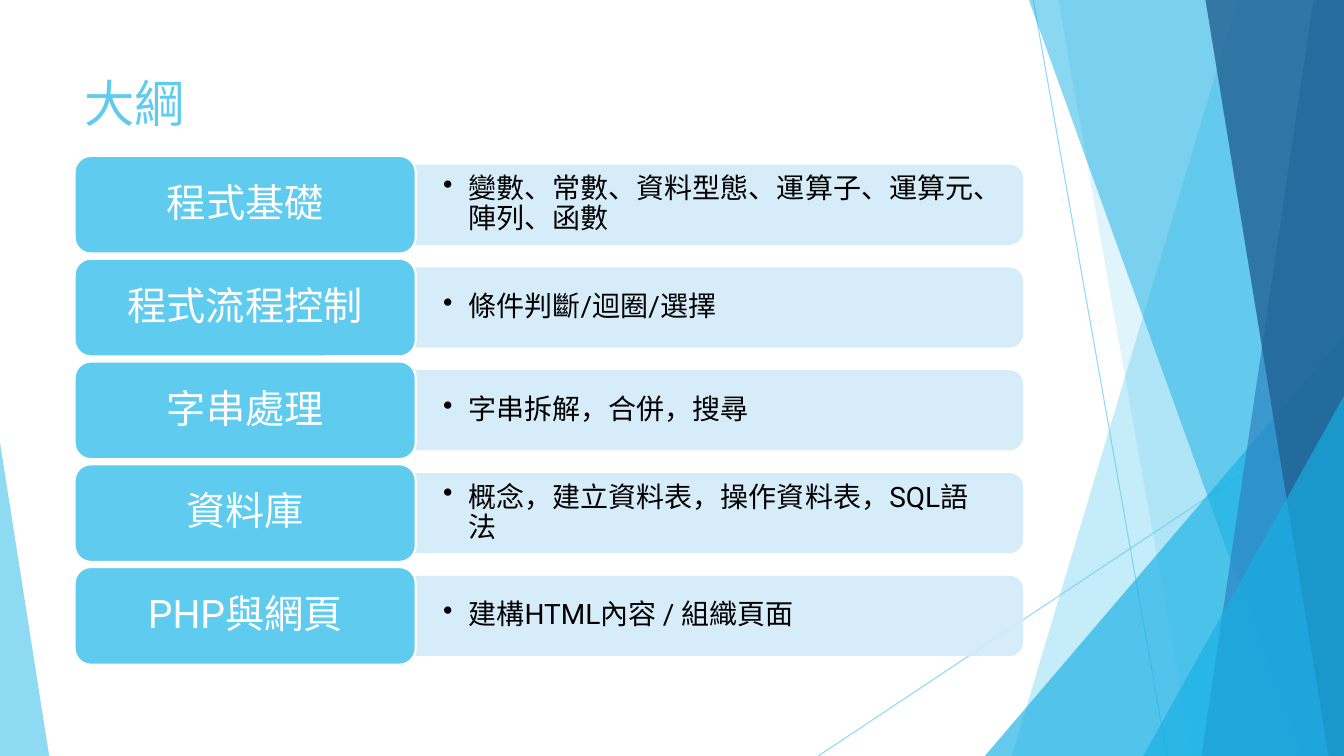
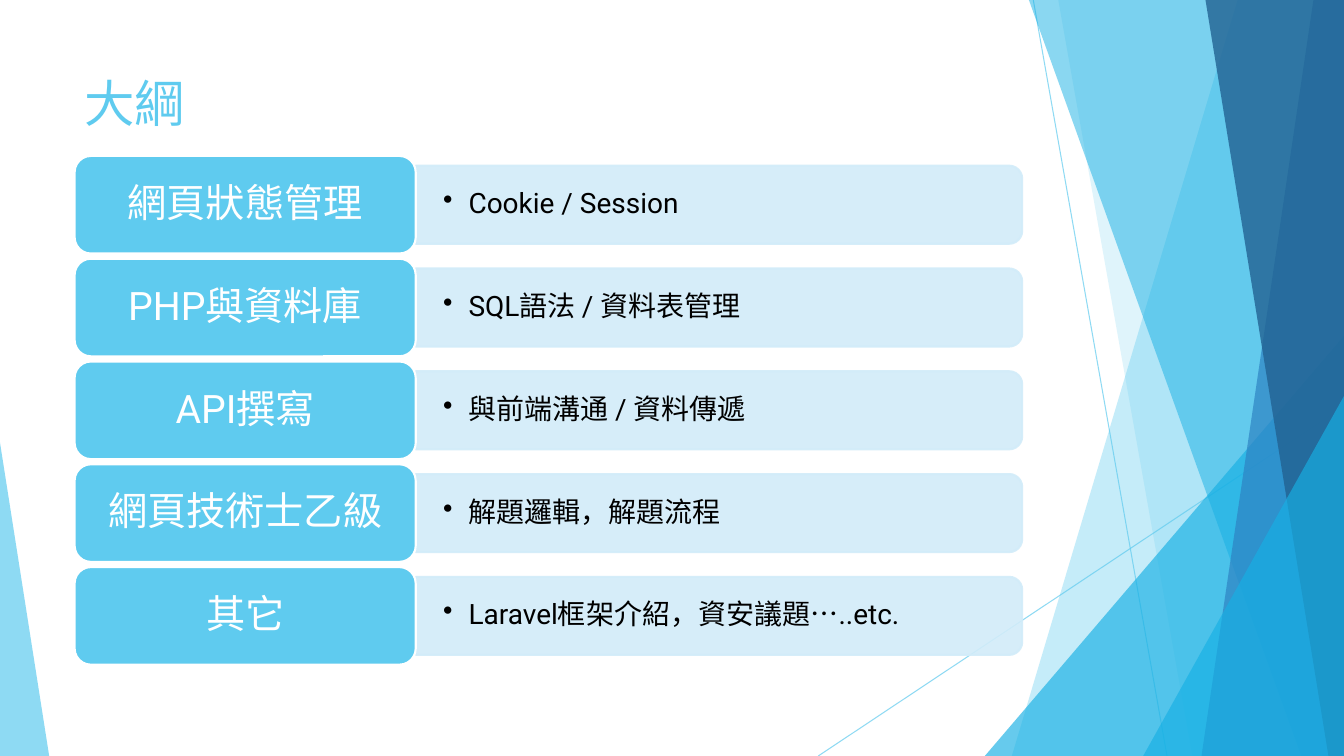
from lxml import etree
from pptx import Presentation
from pptx.dml.color import RGBColor
from pptx.enum.shapes import MSO_CONNECTOR, MSO_SHAPE
from pptx.enum.text import MSO_ANCHOR, PP_ALIGN
from pptx.oxml.ns import qn
from pptx.util import Cm, Pt

LINE = MSO_CONNECTOR.STRAIGHT
ROUND = MSO_SHAPE.ROUNDED_RECTANGLE
TAB = MSO_SHAPE.ROUND_2_SAME_RECTANGLE
WEDGE = MSO_SHAPE.ISOSCELES_TRIANGLE
MID, TOP = MSO_ANCHOR.MIDDLE, MSO_ANCHOR.TOP
LEFT, MIDDLE = PP_ALIGN.LEFT, PP_ALIGN.CENTER

HUES = {"sky": "5FCBEF", "cyan": "17B0E4", "blue": "2E83C3",
        "navy": "226292", "pale": "D2ECF9", "white": "FFFFFF",
        "black": "000000"}
FONT = "Roboto"
WIDE, HIGH = 33.87, 19.05
HEAD = (1.88, 1.7, 23.88, 2.24)
BODY = (1.88, 3.93, 23.88, 12.82)
GAP = 0.13

DECKS = [
    ("大綱", [
        ("程式基礎", "變數、常數、資料型態、運算子、運算元、陣列、函數"),
        ("程式流程控制", "條件判斷/迴圈/選擇"),
        ("字串處理", "字串拆解，合併，搜尋"),
        ("資料庫", "概念，建立資料表，操作資料表，SQL語法"),
        ("PHP與網頁", "建構HTML內容 / 組織頁面"),
    ]),
    ("大綱", [
        ("網頁狀態管理", "Cookie / Session"),
        ("PHP與資料庫", "SQL語法 / 資料表管理"),
        ("API撰寫", "與前端溝通 / 資料傳遞"),
        ("網頁技術士乙級", "解題邏輯，解題流程"),
        ("其它", "Laravel框架介紹，資安議題…..etc."),
    ]),
]


def paint(part, hue, alpha=100):
    """Set a solid colour and its opacity on a fill."""
    part.solid()
    part.fore_color.rgb = RGBColor.from_string(HUES[hue])


def fade(shape, alpha):
    """Give every colour of a shape the same opacity in percent."""
    for tone in shape.element.spPr.iter(qn("a:srgbClr")):
        etree.SubElement(tone, qn("a:alpha")).set("val", str(alpha * 1000))


def style(shape, hue, edge=None, alpha=100):
    """Fill and outline a shape without a shadow."""
    shape.shadow.inherit = False
    paint(shape.fill, hue)
    if edge:
        paint(shape.line.fill, edge)
        shape.line.width = Pt(1.5)
    else:
        shape.line.fill.background()
    if alpha < 100:
        fade(shape, alpha)


def write(shape, text, size, hue, pads, anchor=MID, align=LEFT, lead=1.0):
    """Write one paragraph inside a shape."""
    frame = shape.text_frame
    frame.word_wrap = True
    frame.vertical_anchor = anchor
    frame.margin_left = frame.margin_right = Cm(pads[0])
    frame.margin_top = frame.margin_bottom = Cm(pads[1])
    para = frame.paragraphs[0]
    para.text = text
    para.alignment = align
    para.line_spacing = lead
    para.font.name = FONT
    para.font.size = Pt(size)
    para.font.color.rgb = RGBColor.from_string(HUES[hue])
    return para


def dot(para, step):
    """Add a hanging bullet to a paragraph."""
    props = para._p.get_or_add_pPr()
    props.set("marL", str(Cm(step)))
    props.set("indent", str(-Cm(step)))
    etree.SubElement(props, qn("a:buChar")).set("char", "•")


def ray(slide, start, end):
    """Draw one thin line of the backdrop."""
    line = slide.shapes.add_connector(LINE, *map(Cm, start + end))
    paint(line.line.fill, "sky")
    line.line.width = Pt(0.75)
    fade(line, 70)
    etree.SubElement(line.element.spPr, qn("a:effectLst"))


def panel(slide, box, top, base, hue, alpha):
    """Draw a full-height panel from a slanted edge to the right of the box."""
    x, y, w, h = box
    spots = [(x + w, y), (x + w, y + h), (base, y + h)]
    pen = slide.shapes.build_freeform(Cm(top), Cm(y))
    pen.add_line_segments([(Cm(a), Cm(b)) for a, b in spots])
    style(pen.convert_to_shape(), hue, alpha=alpha)


def wedge(slide, box, peak, hue, alpha):
    """Draw a triangle whose peak stands at a share of its width."""
    shape = slide.shapes.add_shape(WEDGE, *map(Cm, box))
    shape.adjustments[0] = peak
    style(shape, hue, alpha=alpha)


def backdrop(slide, box):
    """Draw the shared facets along the edges of the box."""
    x, y, w, h = box
    right, foot = x + w, y + h
    ray(slide, (26.04, y), (29.41, foot))
    ray(slide, (right, 10.24), (20.62, foot))
    panel(slide, box, 31.19, 25.5, "sky", 36)
    panel(slide, box, 26.67, 30.05, "sky", 20)
    wedge(slide, (right - 9.05, foot - 10.59, 9.05, 10.59), 1, "cyan", 66)
    panel(slide, box, 25.93, 32.79, "cyan", 50)
    panel(slide, box, 33.1, 30.28, "blue", 70)
    panel(slide, box, 30.38, 33.48, "navy", 80)
    wedge(slide, (right - 5.06, foot - 9.07, 5.06, 9.07), 1, "cyan", 66)
    wedge(slide, (x, foot - 7.9, 1.24, 7.9), 0, "sky", 70)


def title(slide, box, text):
    """Place the slide title."""
    area = slide.shapes.add_textbox(*map(Cm, box))
    write(area, text, 36, "sky", (0.25, 0.13), TOP)


def row(slide, box, name, note):
    """Place a label and the bar with its bullet beside it."""
    x, y, w, h = box
    part = w * 0.36
    long, thick = w - part, h * 0.8
    left, mid = x + part, y + h / 2
    bar = slide.shapes.add_shape(
        TAB, Cm(left + (long - thick) / 2), Cm(mid - long / 2),
        Cm(thick), Cm(long))
    bar.rotation = 90
    style(bar, "pale", "pale", 90)
    area = slide.shapes.add_textbox(
        Cm(left), Cm(mid - 0.89), Cm(long - 0.1), Cm(1.78))
    dot(write(area, note, 20, "black", (0.69, 0.35), lead=0.9), 0.64)
    label = slide.shapes.add_shape(ROUND, Cm(x), Cm(y), Cm(part), Cm(h))
    style(label, "sky", "white")
    write(label, name, 28, "white", (0.42, 0.27), align=MIDDLE, lead=0.9)


def table(slide, box, rows):
    """Stack the rows evenly in the box."""
    x, y, w, h = box
    tall = (h - GAP * (len(rows) - 1)) / len(rows)
    for i, (name, note) in enumerate(rows):
        row(slide, (x, y + i * (tall + GAP), w, tall), name, note)


def build():
    """Build and save the deck."""
    deck = Presentation()
    deck.slide_width, deck.slide_height = Cm(WIDE), Cm(HIGH)
    for text, rows in DECKS:
        slide = deck.slides.add_slide(deck.slide_layouts[6])
        backdrop(slide, (0, 0, WIDE, HIGH))
        title(slide, HEAD, text)
        table(slide, BODY, rows)
    deck.save("out.pptx")


build()
